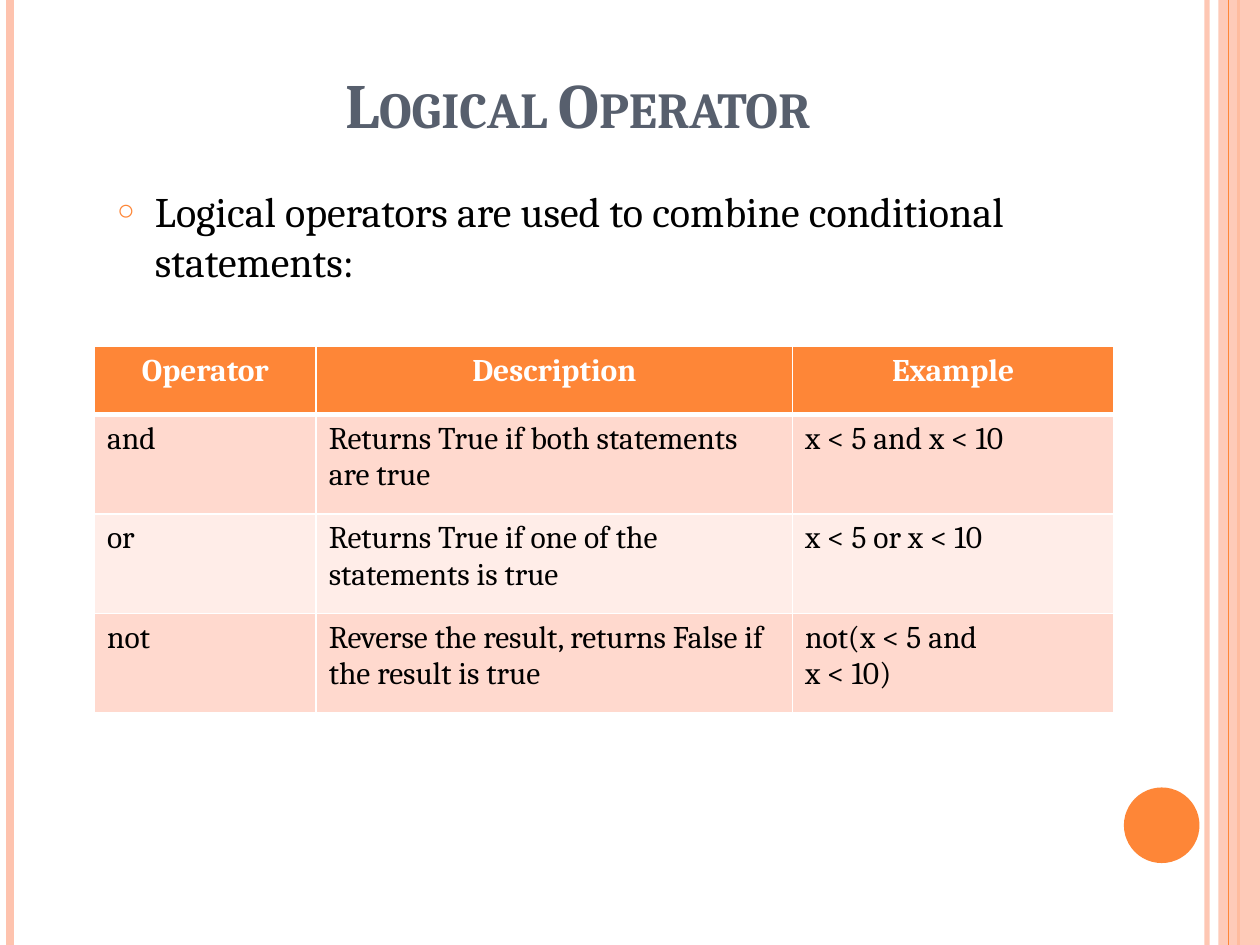
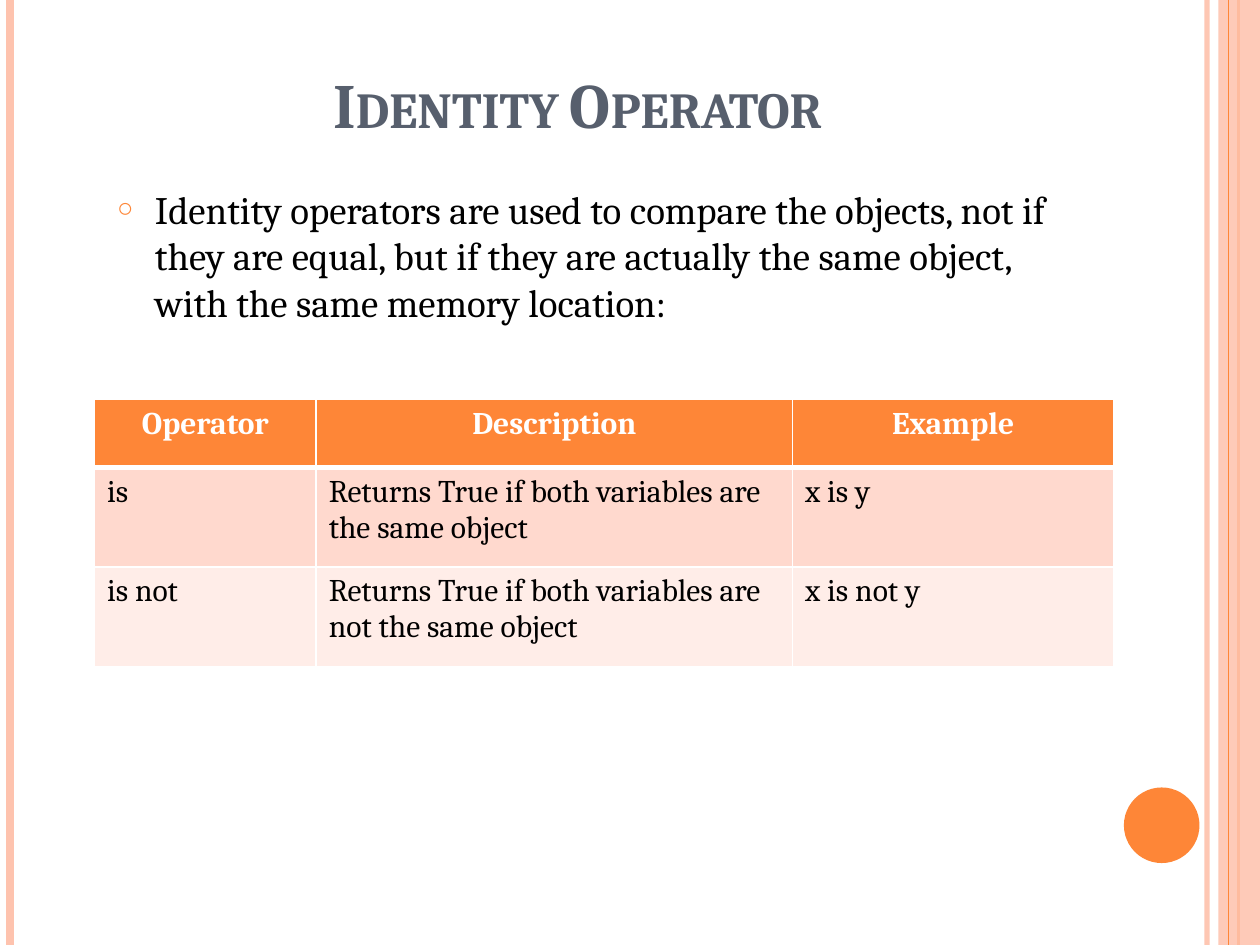
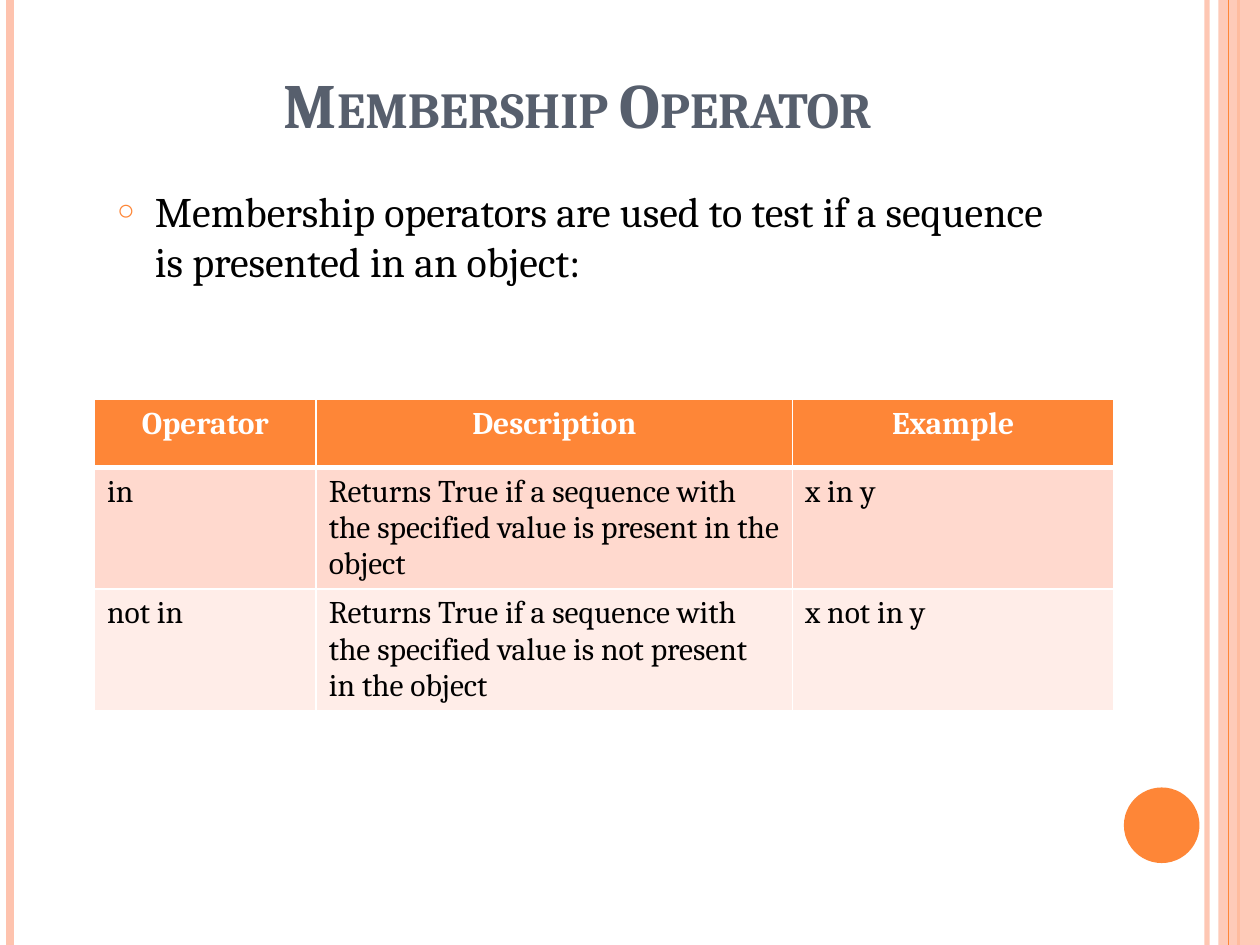
"""Build three slides on Python's logical, identity and membership operators."""
import lxml.etree
import pptx
import pptx.dml.color
import pptx.enum.shapes
import pptx.enum.text
import pptx.oxml.ns
import pptx.util

Inches, Pt, qn = pptx.util.Inches, pptx.util.Pt, pptx.oxml.ns.qn
SHAPE = pptx.enum.shapes.MSO_SHAPE
ANCHOR = pptx.enum.text.MSO_ANCHOR
CENTER, LEFT = pptx.enum.text.PP_ALIGN.CENTER, pptx.enum.text.PP_ALIGN.LEFT

ORANGE, PEACH, SLATE, WHITE, BLACK = "FE8637", "FEC3AE", "575F6D", "FFFFFF", "000000"
BANDS = ("FFD9CE", "FFEDE8")
HEADER = ("Operator", "Description", "Example")
COLUMNS = (1.76, 3.78, 2.55)
HEADER_HEIGHT, ROW_HEIGHT = 0.54, 0.79
RULES = ((9.58, PEACH, 3, 93), (0.08, PEACH, 4.5, 100),
         (9.83, ORANGE, 1.5, 100), (9.75, ORANGE, 0.75, 100))
TITLE_FONT = {"name": "Cambria", "size": Pt(36), "bold": True}
HEADER_FONT = {"name": "Cambria", "size": Pt(18), "bold": True}
CELL_FONT = {"name": "Cambria", "size": Pt(18), "bold": False}

SLIDES = (
    {"title": "Logical Operator",
     "body": "Logical operators are used to combine conditional statements:",
     "body_size": 24, "body_height": 0.92, "table_top": 2.75,
     "rows": (("and", "Returns True if both statements are true", "x < 5 and x < 10"),
              ("or", "Returns True if one of the statements is true", "x < 5 or x < 10"),
              ("not", "Reverse the result, returns False if the result is true",
               "not(x < 5 and\nx < 10)"))},
    {"title": "Identity Operator",
     "body": "Identity operators are used to compare the objects, not if they are equal, "
             "but if they are actually the same object, with the same memory location:",
     "body_size": 22.2, "body_height": 1.25, "table_top": 3.17,
     "rows": (("is", "Returns True if both variables are the same object", "x is y"),
              ("is not", "Returns True if both variables are not the same object",
               "x is not y"))},
    {"title": "Membership Operator",
     "body": "Membership operators are used to test if a sequence is presented in an object:",
     "body_size": 24, "body_height": 1.25, "table_top": 3.17,
     "rows": (("in", "Returns True if a sequence with the specified value is present "
                     "in the object", "x in y"),
              ("not in", "Returns True if a sequence with the specified value is not "
                         "present in the object", "x not in y"))},
)


def apply(obj, values):
    """Set each attribute named in a dict."""
    for name, value in values.items():
        setattr(obj, name, value)


def paint(fill, color):
    """Make a fill solid in a hex colour."""
    fill.solid()
    fill.fore_color.rgb = pptx.dml.color.RGBColor.from_string(color)


def sub(parent, tag, **attrs):
    """Append a DrawingML element."""
    return lxml.etree.SubElement(parent, qn(tag), attrs)


def fade(sp, opacity):
    """Set the opacity percentage of a shape's colours."""
    for clr in sp._element.spPr.iter(qn("a:srgbClr")):
        sub(clr, "a:alpha", val=str(opacity * 1000))


def place(sp, left, top, width, height):
    """Move and size a shape in inches."""
    apply(sp, {"left": Inches(left), "top": Inches(top),
               "width": Inches(width), "height": Inches(height)})


def write(tf, text, font, color, align):
    """Write text in one format, a paragraph for each line."""
    tf.text = text
    for p in tf.paragraphs:
        apply(p, {"alignment": align, "space_before": Pt(0)})
        for r in p.runs:
            apply(r.font, font)
            paint(r.font.fill, color)


def add_rule(s, x, color, width, opacity):
    """Draw a full-height vertical line."""
    line = s.shapes.add_connector(pptx.enum.shapes.MSO_CONNECTOR.STRAIGHT,
                                  Inches(x), 0, Inches(x), Inches(7.5))
    paint(line.line.fill, color)
    line.line.width = Pt(width)
    if opacity < 100:
        fade(line, opacity)
    sub(line._element.spPr, "a:effectLst")


def add_block(s, kind, box, color):
    """Draw a filled shape without an outline."""
    sp = s.shapes.add_shape(kind, *map(Inches, box))
    sp.shadow.inherit = False
    paint(sp.fill, color)
    sp.line.fill.background()
    return sp


def add_frame(s):
    """Draw the side bands and the disc."""
    for rule in RULES[:3]:
        add_rule(s, *rule)
    fade(add_block(s, SHAPE.RECTANGLE, (9.67, 0, 0.33, 7.5), PEACH), 87)
    add_rule(s, *RULES[3])
    add_block(s, SHAPE.OVAL, (8.92, 6.25, 0.6, 0.6), ORANGE)


def set_title(s, text):
    """Fill the title in small capitals."""
    sp = s.shapes.title
    place(sp, 0.5, 0.3, 8.17, 0.87)
    tf = sp.text_frame
    apply(tf, {"vertical_anchor": ANCHOR.BOTTOM,
               "auto_size": pptx.enum.text.MSO_AUTO_SIZE.NONE})
    write(tf, text, TITLE_FONT, SLATE, CENTER)
    tf.paragraphs[0].runs[0].font._element.set("cap", "small")


def set_body(s, text, size, height):
    """Fill the body with one bulleted paragraph."""
    sp = s.placeholders[1]
    place(sp, 0.83, 1.42, 7.83, height)
    tf = sp.text_frame
    tf.auto_size = pptx.enum.text.MSO_AUTO_SIZE.NONE
    write(tf, text, {"name": "Cambria", "size": Pt(size)}, BLACK, LEFT)
    pPr = tf.paragraphs[0]._p.get_or_add_pPr()
    pPr.set("marL", str(Inches(0.3)))
    pPr.set("indent", str(Inches(-0.3)))
    sub(sub(pPr, "a:buClr"), "a:srgbClr", val=ORANGE)
    sub(pPr, "a:buSzPct", val="70000")
    sub(pPr, "a:buChar", char="○")


def set_borders(cell, top, bottom):
    """Give a cell white borders."""
    tcPr = cell._tc.get_or_add_tcPr()
    for side, width in (("L", 1), ("R", 1), ("T", top), ("B", bottom)):
        ln = sub(tcPr, f"a:ln{side}", w=str(Pt(width)))
        sub(sub(ln, "a:solidFill"), "a:srgbClr", val=WHITE)


def add_operator_table(s, top, rows):
    """Add a table of operators under the shared header."""
    height = HEADER_HEIGHT + ROW_HEIGHT * len(rows)
    table = s.shapes.add_table(len(rows) + 1, len(COLUMNS), Inches(0.75), Inches(top),
                               Inches(sum(COLUMNS)), Inches(height)).table
    for column, width in zip(table.columns, COLUMNS):
        column.width = Inches(width)
    for i, texts in enumerate((HEADER, *rows)):
        table.rows[i].height = Inches(ROW_HEIGHT if i else HEADER_HEIGHT)
        for cell, text in zip(table.rows[i].cells, texts):
            set_borders(cell, 3 if i == 1 else 1, 1 if i else 3)
            if i:
                paint(cell.fill, BANDS[(i - 1) % 2])
                write(cell.text_frame, text, CELL_FONT, BLACK, LEFT)
            else:
                paint(cell.fill, ORANGE)
                write(cell.text_frame, text, HEADER_FONT, WHITE, CENTER)


def main():
    """Build and save the presentation."""
    prs = pptx.Presentation()
    apply(prs, {"slide_width": Inches(10), "slide_height": Inches(7.5)})
    for content in SLIDES:
        s = prs.slides.add_slide(prs.slide_layouts[1])
        add_frame(s)
        set_title(s, content["title"])
        set_body(s, content["body"], content["body_size"], content["body_height"])
        add_operator_table(s, content["table_top"], content["rows"])
    prs.save("out.pptx")


if __name__ == "__main__":
    main()
